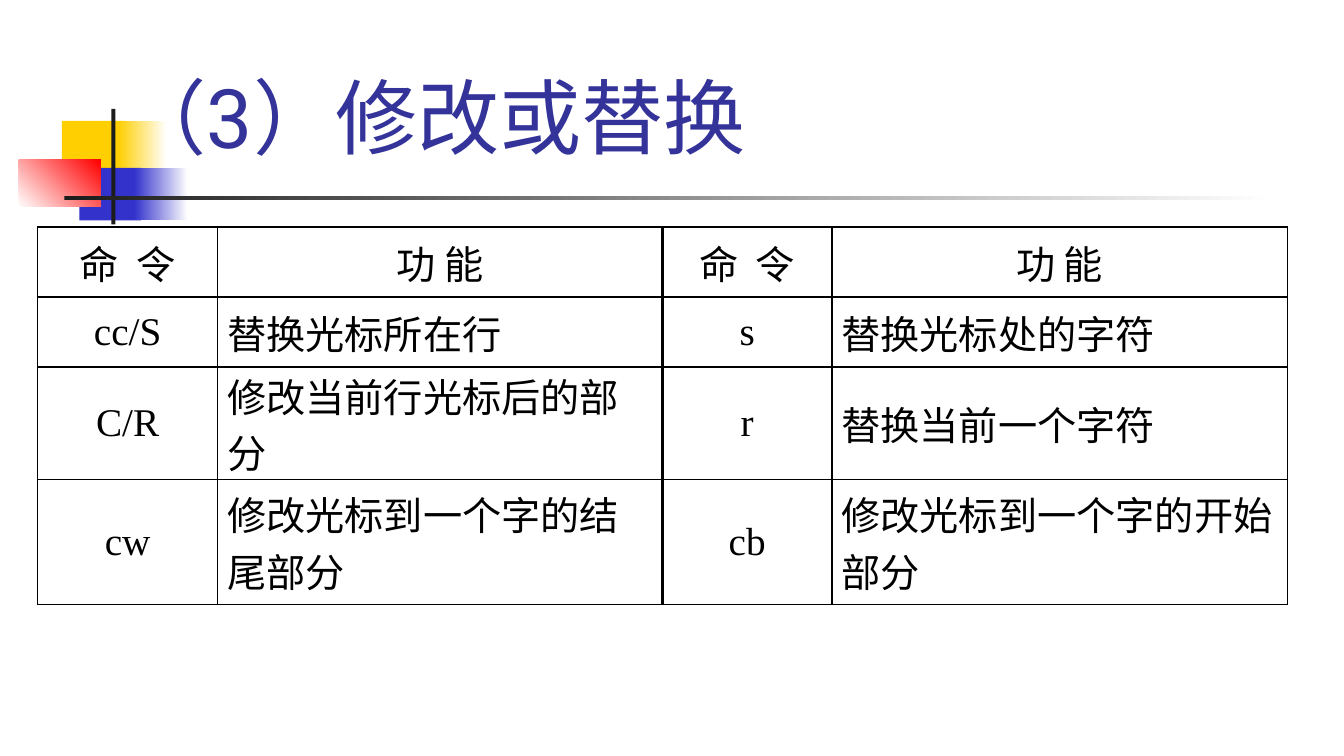
from typing import NamedTuple

from lxml import etree
from pptx import Presentation
from pptx.dml.color import RGBColor
from pptx.enum.shapes import MSO_SHAPE
from pptx.enum.text import MSO_ANCHOR, PP_ALIGN
from pptx.oxml.ns import qn
from pptx.util import Inches, Pt

RECT = MSO_SHAPE.RECTANGLE
MIDDLE, BOTTOM = MSO_ANCHOR.MIDDLE, MSO_ANCHOR.BOTTOM
LEFT, CENTER = PP_ALIGN.LEFT, PP_ALIGN.CENTER
BLACK, WHITE = "000000", "FFFFFF"
YELLOW, BLUE, RED, DARK, NAVY = "FFCF01", "3333CC", "FF0000", "1C1C1C", "333399"
SLIDE_WIDTH = 10


class Block(NamedTuple):
    """A rectangle in one colour, or in a gradient when it has an end colour."""
    left: float
    top: float
    width: float
    height: float
    start: str
    end: str = ""
    angle: float = 0


BLOCKS = [
    Block(0.46, 0.9, 0.48, 0.39, YELLOW),
    Block(0.88, 0.9, 0.36, 0.39, YELLOW, WHITE),
    Block(0.59, 1.25, 0.46, 0.39, BLUE),
    Block(1, 1.25, 0.4, 0.39, BLUE, WHITE),
    Block(0.14, 1.19, 0.61, 0.35, WHITE, RED, 45),
    Block(0.83, 0.81, 0.03, 0.86, DARK),
    Block(0.48, 1.46, 9, 0.03, DARK, WHITE),
]
COL_WIDTHS = [1.34, 3.31, 1.26, 3.39]
ROW_HEIGHTS = [0.52, 0.52, 0.84, 0.93]
ROWS = [
    ["命  令", "功 能", "命  令", "功 能"],
    ["cc/S", "替换光标所在行", "s", "替换光标处的字符"],
    ["C/R", "修改当前行光标后的部分", "r", "替换当前一个字符"],
    ["cw", "修改光标到一个字的结尾部分", "cb", "修改光标到一个字的开始部分"],
]
TITLE_FONT = {"name": "Roboto", "size": Pt(44)}
CELL_FONT = {"name": "Times New Roman", "size": Pt(21), "bold": False}
CELL_FORMAT = {
    "vertical_anchor": MIDDLE,
    "margin_left": Inches(0.07),
    "margin_right": Inches(0.07),
    "margin_top": 0,
    "margin_bottom": 0,
}


def rgb(value: str) -> RGBColor:
    """Turn a hex string into a colour."""
    return RGBColor.from_string(value)


def apply(target, values: dict) -> None:
    """Set every attribute named in the format values."""
    for name, value in values.items():
        setattr(target, name, value)


def write(p, text: str, font: dict, color: str) -> None:
    """Add one formatted run to a paragraph."""
    r = p.add_run()
    r.text = text
    apply(r.font, font)
    r.font.color.rgb = rgb(color)


def draw_block(s, block: Block) -> None:
    """Draw one decorative rectangle."""
    box = map(Inches, (block.left, block.top, block.width, block.height))
    sp = s.shapes.add_shape(RECT, *box)
    sp.shadow.inherit = False
    sp.line.fill.background()
    if not block.end:
        sp.fill.solid()
        sp.fill.fore_color.rgb = rgb(block.start)
        return
    sp.fill.gradient()
    sp.fill.gradient_angle = block.angle
    for stop, color, position in zip(sp.fill.gradient_stops, (block.start, block.end), (0, 1)):
        stop.color.rgb = rgb(color)
        stop.position = position


def draw_title(s, text: str) -> None:
    """Add the slide heading."""
    sp = s.shapes.add_textbox(Inches(0.83), Inches(0.34), Inches(8.92), Inches(0.94))
    tf = sp.text_frame
    apply(tf, {"word_wrap": True, "vertical_anchor": BOTTOM})
    write(tf.paragraphs[0], text, TITLE_FONT, NAVY)


def set_borders(cell, widths: dict) -> None:
    """Give a cell a black line on each named side."""
    tc_pr = cell._tc.get_or_add_tcPr()
    for side, width in widths.items():
        ln = etree.SubElement(tc_pr, qn(f"a:ln{side}"), w=str(Pt(width)))
        fill = etree.SubElement(ln, qn("a:solidFill"))
        etree.SubElement(fill, qn("a:srgbClr"), val=BLACK)


def draw_table(s) -> None:
    """Draw the command table with a heavier line between its halves."""
    box = map(Inches, (0.28, 1.69, sum(COL_WIDTHS), sum(ROW_HEIGHTS)))
    table = s.shapes.add_table(len(ROWS), len(COL_WIDTHS), *box).table
    apply(table, {"first_row": False, "horz_banding": False})
    for column, width in zip(table.columns, COL_WIDTHS):
        column.width = Inches(width)
    for i, (texts, height) in enumerate(zip(ROWS, ROW_HEIGHTS)):
        table.rows[i].height = Inches(height)
        for j, text in enumerate(texts):
            cell = table.cell(i, j)
            apply(cell, CELL_FORMAT)
            left, right = (1.5 if j == 2 else 1), (1.5 if j == 1 else 1)
            set_borders(cell, {"L": left, "R": right, "T": 1, "B": 1})
            cell.fill.background()
            p = cell.text_frame.paragraphs[0]
            p.alignment = CENTER if i == 0 or j % 2 == 0 else LEFT
            write(p, text, CELL_FONT, BLACK)


def main() -> None:
    """Build and save the slide."""
    prs = Presentation()
    size = {"slide_width": Inches(SLIDE_WIDTH), "slide_height": Inches(SLIDE_WIDTH * 9 / 16)}
    apply(prs, size)
    s = prs.slides.add_slide(prs.slide_layouts[6])
    for block in BLOCKS:
        draw_block(s, block)
    draw_title(s, "（3）修改或替换")
    draw_table(s)
    prs.save("out.pptx")


if __name__ == "__main__":
    main()
